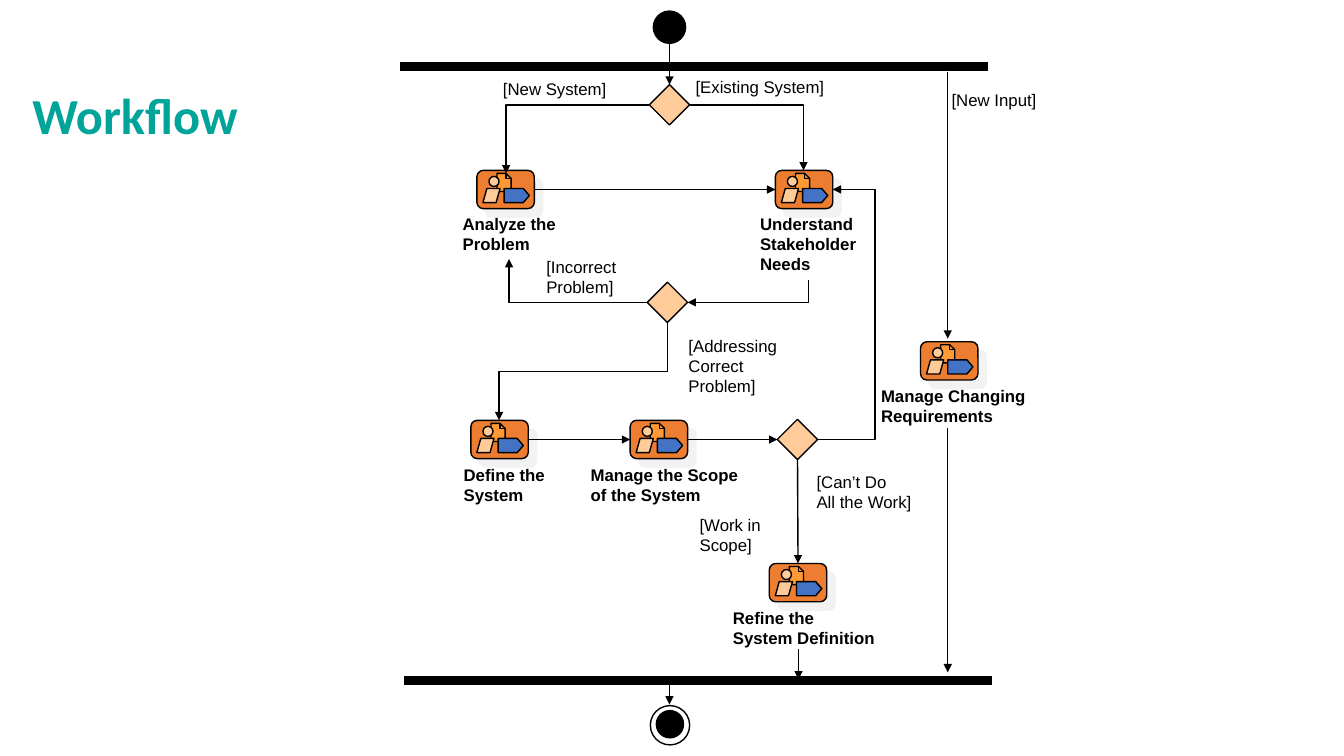
from lxml import etree
from pptx import Presentation
from pptx.dml.color import RGBColor
from pptx.enum.shapes import MSO_CONNECTOR, MSO_SHAPE
from pptx.enum.text import MSO_ANCHOR, MSO_AUTO_SIZE, PP_ALIGN
from pptx.oxml.ns import qn
from pptx.util import Inches, Pt

STRAIGHT, ELBOW = MSO_CONNECTOR.STRAIGHT, MSO_CONNECTOR.ELBOW
OVAL, DIAMOND = MSO_SHAPE.OVAL, MSO_SHAPE.DIAMOND
ROUNDED, SLANTED = MSO_SHAPE.ROUNDED_RECTANGLE, MSO_SHAPE.PARALLELOGRAM
PENTAGON = MSO_SHAPE.PENTAGON
BOTTOM, LEFT_ALIGN = MSO_ANCHOR.BOTTOM, PP_ALIGN.LEFT
NO_FIT, GROW = MSO_AUTO_SIZE.NONE, MSO_AUTO_SIZE.SHAPE_TO_FIT_TEXT
TOP_SIDE, LEFT_SIDE, BOTTOM_SIDE, RIGHT_SIDE = range(4)

BLACK, TEAL, ORANGE, PEACH = "000000", "00A499", "ED7D31", "FFCC99"
PAPER, BLUE, SHADOW = "FF9933", "4472C4", "E7E6E6"

# Activity: icon left, icon top, label left, label top, label width, label
ACTIVITIES = {
    "analyze": (4.73, 1.69, 4.49, 2.07, 1.13, "Analyze the\nProblem"),
    "understand": (7.69, 1.69, 7.44, 2.07, 1.2,
                   "Understand\nStakeholder\nNeeds"),
    "changes": (9.13, 3.39, 8.64, 3.78, 1.64, "Manage Changing\nRequirements"),
    "define": (4.67, 4.17, 4.5, 4.56, 1.01, "Define the\nSystem"),
    "scope": (6.25, 4.17, 5.76, 4.56, 1.66, "Manage the Scope\nof the System"),
    "refine": (7.63, 5.59, 7.17, 5.98, 1.61, "Refine the\nSystem Definition"),
}
# Condition: left, top, width, wording
CONDITIONS = [
    (4.89, 0.73, 1.23, "[New System]"),
    (6.8, 0.71, 1.48, "[Existing System]"),
    (9.34, 0.84, 1.04, "[New Input]"),
    (5.32, 2.5, 0.9, "[Incorrect\nProblem]"),
    (6.73, 3.28, 1.14, "[Addressing\nCorrect\nProblem]"),
    (6.84, 5.06, 0.81, "[Work in\nScope]"),
    (8, 4.63, 1.15, "[Can’t Do\nAll the Work]"),
]


def color(hex_code):
    return RGBColor.from_string(hex_code)


def style(shape, fill):
    shape.shadow.inherit = False
    if fill:
        shape.fill.solid()
        shape.fill.fore_color.rgb = color(fill)
    else:
        shape.fill.background()
    shape.line.color.rgb = color(BLACK)
    shape.line.width = Pt(1)
    return shape


def add_preset(page, kind, left, top, width, height, fill=None, adjust=None):
    shape = page.shapes.add_shape(
        kind, Inches(left), Inches(top), Inches(width), Inches(height))
    if adjust is not None:
        shape.adjustments[0] = adjust
    return style(shape, fill)


def add_outline(page, points, fill=None):
    corners = [(Inches(x), Inches(y)) for x, y in points]
    builder = page.shapes.build_freeform(*corners[0])
    builder.add_line_segments(corners[1:], close=bool(fill))
    return style(builder.convert_to_shape(), fill)


def add_card_shadow(card):
    effects = card._element.spPr.find(qn("a:effectLst"))
    shadow = etree.SubElement(effects, qn("a:outerShdw"), blurRad="0",
                              dist=str(Pt(8.5)), dir="2700000", rotWithShape="0")
    tint = etree.SubElement(shadow, qn("a:srgbClr"), val=SHADOW)
    etree.SubElement(tint, qn("a:alpha"), val="50000")


def add_label(page, left, top, width, wording, bold=False):
    height = 0.1 + 0.2 * len(wording.split("\n"))
    box = page.shapes.add_textbox(
        Inches(left), Inches(top), Inches(width), Inches(height))
    frame = box.text_frame
    frame.word_wrap = False
    frame.auto_size = GROW
    frame.text = wording
    for para in frame.paragraphs:
        for span in para.runs:
            span.font.name = "Arial"
            span.font.size = Pt(12)
            span.font.bold = bold
            span.font.color.rgb = color(BLACK)


def add_activity(page, left, top, label_left, label_top, label_width, wording):
    card = add_preset(page, ROUNDED, left, top, 0.57, 0.38, ORANGE, 0.167)
    add_card_shadow(card)
    # Sheet with a folded corner
    x, y = left + 0.2, top + 0.03
    fold = [(x + 0.09, y), (x + 0.09, y + 0.05), (x + 0.14, y + 0.05)]
    add_outline(page, [(x, y), (x, y + 0.18), (x + 0.14, y + 0.18),
                       fold[2], fold[0]], PAPER)
    add_outline(page, fold)
    # Worker and work step
    add_preset(page, SLANTED, left + 0.06, top + 0.18, 0.17, 0.14, PEACH, 0.279)
    add_preset(page, OVAL, left + 0.12, top + 0.06, 0.1, 0.1, PEACH)
    add_preset(page, PENTAGON, left + 0.27, top + 0.18, 0.25, 0.14, BLUE, 0.427)
    add_label(page, label_left, label_top, label_width, wording, bold=True)
    return card


def add_line(page, start, end, width=1, arrow=True, kind=STRAIGHT):
    line = page.shapes.add_connector(
        kind, *(Inches(value) for value in (*start, *end)))
    line.line.color.rgb = color(BLACK)
    line.line.width = Pt(width)
    if arrow:
        etree.SubElement(line.line._get_or_add_ln(), qn("a:tailEnd"),
                         type="triangle")
    etree.SubElement(line._element.spPr, qn("a:effectLst"))
    return line


def add_elbow(page, start, end, bends=1, down_first=False, turn=0.5):
    line = add_line(page, start, end, kind=ELBOW)
    shape_xml = line._element.spPr
    geometry = shape_xml.find(qn("a:prstGeom"))
    geometry.set("prst", f"bentConnector{bends + 1}")
    if bends == 2:
        etree.SubElement(geometry.find(qn("a:avLst")), qn("a:gd"), name="adj1",
                         fmla=f"val {round(turn * 100000)}")
    if down_first:
        # A quarter turn about the middle, for a route down and to the left
        across, down = start[0] - end[0], end[1] - start[1]
        line.left = Inches((start[0] + end[0] - down) / 2)
        line.top = Inches((start[1] + end[1] - across) / 2)
        line.width, line.height = Inches(down), Inches(across)
        transform = shape_xml.find(qn("a:xfrm"))
        transform.attrib.pop("flipH", None)
        transform.set("rot", "5400000")


def add_title(page):
    title = page.shapes.title
    title.left, title.top = Inches(0.22), Inches(0.72)
    title.width, title.height = Inches(12.9), Inches(0.77)
    frame = title.text_frame
    frame.text = "Workflow"
    frame.auto_size = NO_FIT
    frame.vertical_anchor = BOTTOM
    para = frame.paragraphs[0]
    para.alignment = LEFT_ALIGN
    para.line_spacing = 0.9
    font = para.runs[0].font
    font.name, font.size, font.bold = "Calibri", Pt(36), True
    font.color.rgb = color(TEAL)


def add_flow(page, cards, choices):
    # Straight arrows joined to the shapes at one or both ends
    kind, problem, work = choices
    add_line(page, (6.64, 0.43), (6.64, 0.84)).end_connect(kind, TOP_SIDE)
    for source, target in [(cards["analyze"], cards["understand"]),
                           (cards["define"], cards["scope"]),
                           (cards["scope"], work)]:
        line = add_line(page, (5, 4), (6, 4))
        line.begin_connect(source, RIGHT_SIDE)
        line.end_connect(target, LEFT_SIDE)
    line = add_line(page, (7.91, 4.56), (7.91, 5.59))
    line.begin_connect(work, BOTTOM_SIDE)
    line.end_connect(cards["refine"], TOP_SIDE)
    # Free straight arrows
    for x, top, bottom in [(9.4, 0.71, 3.36), (9.4, 4.25, 6.67),
                           (7.92, 6.44, 6.74), (6.64, 6.73, 6.99)]:
        add_line(page, (x, top), (x, bottom))
    # Arrows with bends
    add_elbow(page, (6.44, 1.04), (5.02, 1.72))
    add_elbow(page, (6.84, 1.04), (7.97, 1.69))
    add_elbow(page, (8.02, 2.78), (6.82, 3), down_first=True)
    add_elbow(page, (6.42, 3), (5.05, 2.57))
    add_elbow(page, (6.62, 3.2), (4.95, 4.17), bends=2, down_first=True)
    add_elbow(page, (8.11, 4.36), (8.26, 1.88), bends=2, turn=3.8)


def main():
    deck = Presentation()
    deck.slide_width, deck.slide_height = Inches(13.33), Inches(7.5)
    page = deck.slides.add_slide(deck.slide_layouts[5])
    add_title(page)

    # Start, end and the two bars
    add_preset(page, OVAL, 6.48, 0.11, 0.32, 0.32, BLACK)
    add_preset(page, OVAL, 6.51, 7.05, 0.27, 0.27, BLACK)
    add_preset(page, OVAL, 6.45, 7, 0.39, 0.39)
    for left, y in [(3.97, 0.66), (4.01, 6.75)]:
        add_line(page, (left, y), (left + 5.83, y), width=6, arrow=False)

    # Activities, choices and the flow between them
    cards = {name: add_activity(page, *place)
             for name, place in ACTIVITIES.items()}
    choices = [add_preset(page, DIAMOND, left, top, 0.4, 0.4, PEACH)
               for left, top in [(6.44, 0.84), (6.42, 2.8), (7.71, 4.16)]]
    add_flow(page, cards, choices)
    for condition in CONDITIONS:
        add_label(page, *condition)
    deck.save("out.pptx")


if __name__ == "__main__":
    main()
